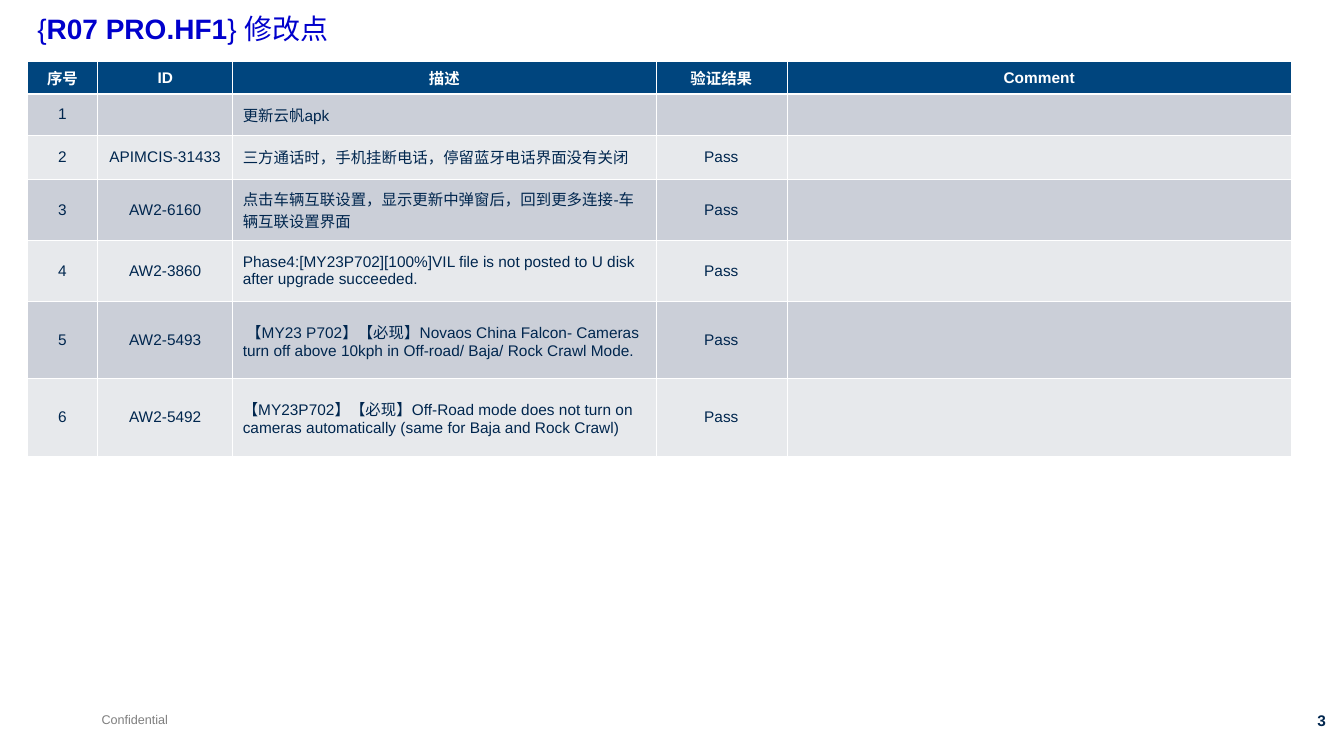
import pptx
import pptx.util
import pptx.dml.color
import pptx.enum.text
import pptx.oxml

RGB = pptx.dml.color.RGBColor
Inch = pptx.util.Inches
Align = pptx.enum.text.PP_ALIGN
Anchor = pptx.enum.text.MSO_ANCHOR
Fit = pptx.enum.text.MSO_AUTO_SIZE

# Content
TITLE = [("{", False), ("R07 PRO.HF1", True), ("} 修改点", False)]
HEAD = ("序号", "ID", "描述", "验证结果", "Comment")
ROWS = [
    ("", "更新云帆apk", ""),
    ("APIMCIS-31433", "三方通话时，手机挂断电话，停留蓝牙电话界面没有关闭", "Pass"),
    ("AW2-6160", "点击车辆互联设置，显示更新中弹窗后，回到更多连接-车辆互联设置界面", "Pass"),
    ("AW2-3860", "Phase4:[MY23P702][100%]VIL file is not posted to U disk "
     "after upgrade succeeded.", "Pass"),
    ("AW2-5493", " 【MY23 P702】【必现】Novaos China Falcon- Cameras turn off "
     "above 10kph in Off-road/ Baja/ Rock Crawl Mode.", "Pass"),
    ("AW2-5492", "【MY23P702】【必现】Off-Road mode does not turn on cameras "
     "automatically (same for Baja and Rock Crawl)", "Pass"),
]
GRID = [HEAD] + [(str(n), *row, "") for n, row in enumerate(ROWS, 1)]
COLS = (0.7, 1.34, 4.2, 1.3, 5.01)
HIGH = (0.28, 0.3, 0.44, 0.61, 0.6, 0.77, 0.77)
DESC = 2  # left-aligned column

# Colours
WHITE = RGB(0xFF, 0xFF, 0xFF)
NAVY = RGB(0x00, 0x26, 0x4E)
BLUE = RGB(0x00, 0x00, 0xCC)
GREY = RGB(0x7F, 0x7F, 0x7F)
TOP = RGB(0x00, 0x45, 0x7E)
BANDS = (RGB(0xE7, 0xE9, 0xEC), RGB(0xCB, 0xCF, 0xD8))
THIN, THICK = 0.45, 1.47


def write(para, text, size=11, color=NAVY, bold=False, align=Align.LEFT):
    para.alignment = align
    run = para.add_run()
    run.text = text
    font = run.font
    font.name, font.size, font.bold = "Arial", pptx.util.Pt(size), bold
    font.color.rgb = color


def label(slide, box, text, **form):
    frame = slide.shapes.add_textbox(*map(Inch, box)).text_frame
    frame.word_wrap = False
    write(frame.paragraphs[0], text, **form)


def edge(cell, side, width):
    cell._tc.get_or_add_tcPr().append(pptx.oxml.parse_xml(
        '<a:ln%s xmlns:a="http://schemas.openxmlformats.org/drawingml/2006/main"'
        ' w="%d"><a:solidFill><a:srgbClr val="%s"/></a:solidFill></a:ln%s>'
        % (side, pptx.util.Pt(width), WHITE, side)))


deck = pptx.Presentation()
deck.slide_width, deck.slide_height = Inch(13.34), Inch(7.5)
slide = deck.slides.add_slide(deck.slide_layouts[5])

# Title
title = slide.shapes.title
title.left, title.top, title.width, title.height = map(Inch, (0.27, 0.1, 11.85, 0.63))
frame = title.text_frame
frame.auto_size, frame.vertical_anchor = Fit.NONE, Anchor.TOP
frame.paragraphs[0].line_spacing = 0.9
for text, bold in TITLE:
    write(frame.paragraphs[0], text, size=20, color=BLUE, bold=bold)

# Table
table = slide.shapes.add_table(
    len(GRID), len(COLS), *map(Inch, (0.27, 0.61, sum(COLS), sum(HIGH)))).table
for col, width in zip(table.columns, COLS):
    col.width = Inch(width)
for row, high in zip(table.rows, HIGH):
    row.height = Inch(high)
for r, line in enumerate(GRID):
    head = r == 0
    for c, text in enumerate(line):
        cell = table.cell(r, c)
        cell.vertical_anchor = Anchor.MIDDLE
        for side in "LRTB":
            heavy = (r, side) in ((0, "B"), (1, "T"))
            edge(cell, side, THICK if heavy else THIN)
        cell.fill.solid()
        cell.fill.fore_color.rgb = TOP if head else BANDS[r % 2]
        if text:
            left = c == DESC and not head
            write(cell.text_frame.paragraphs[0], text, bold=head,
                  color=WHITE if head else NAVY,
                  align=Align.LEFT if left else Align.CENTER)

# Footer
label(slide, (0.91, 7.01, 0.86, 0.25), "Confidential", size=9, color=GREY)
label(slide, (12.32, 7.01, 0.94, 0.29), "3", bold=True, align=Align.RIGHT)

deck.save("out.pptx")
